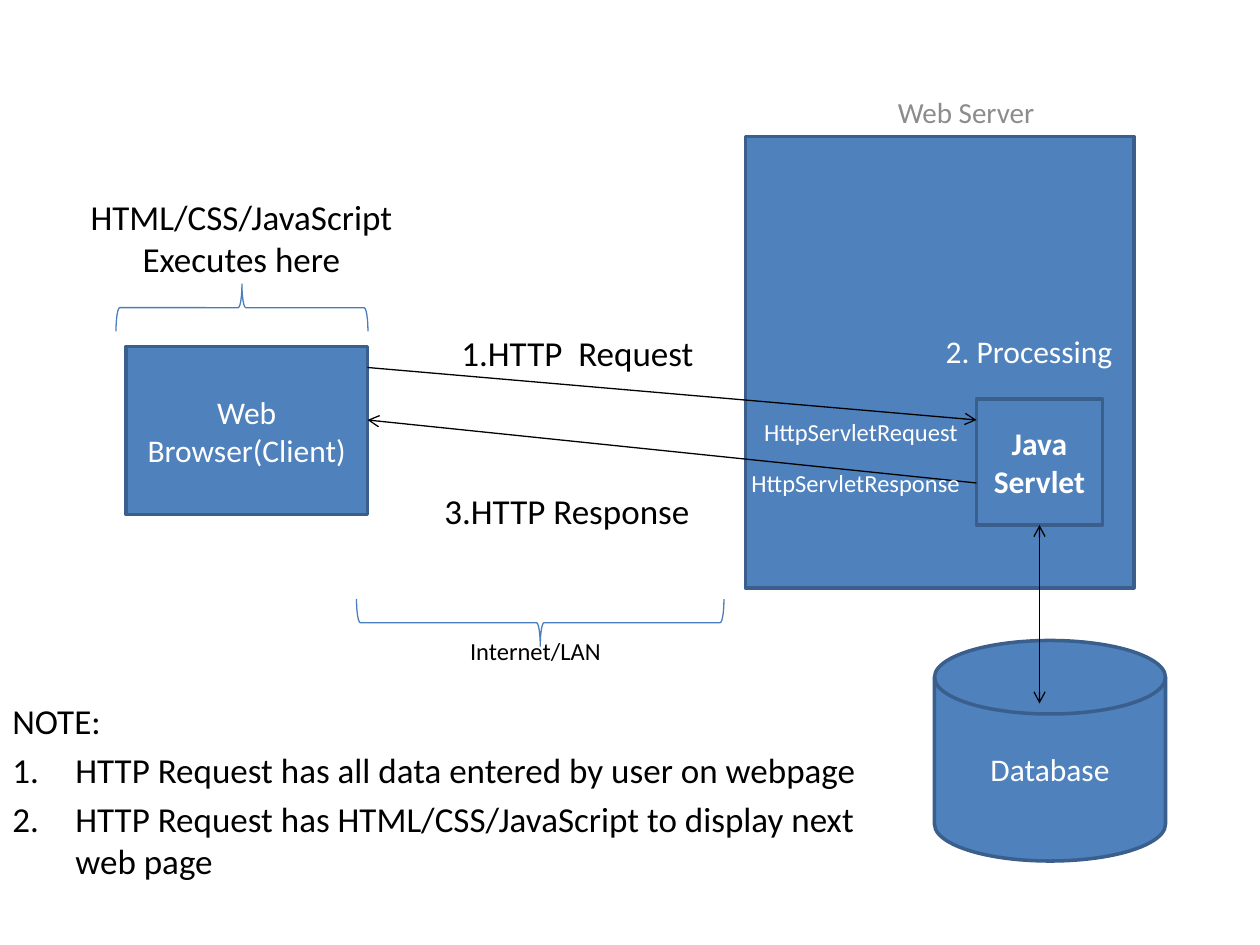
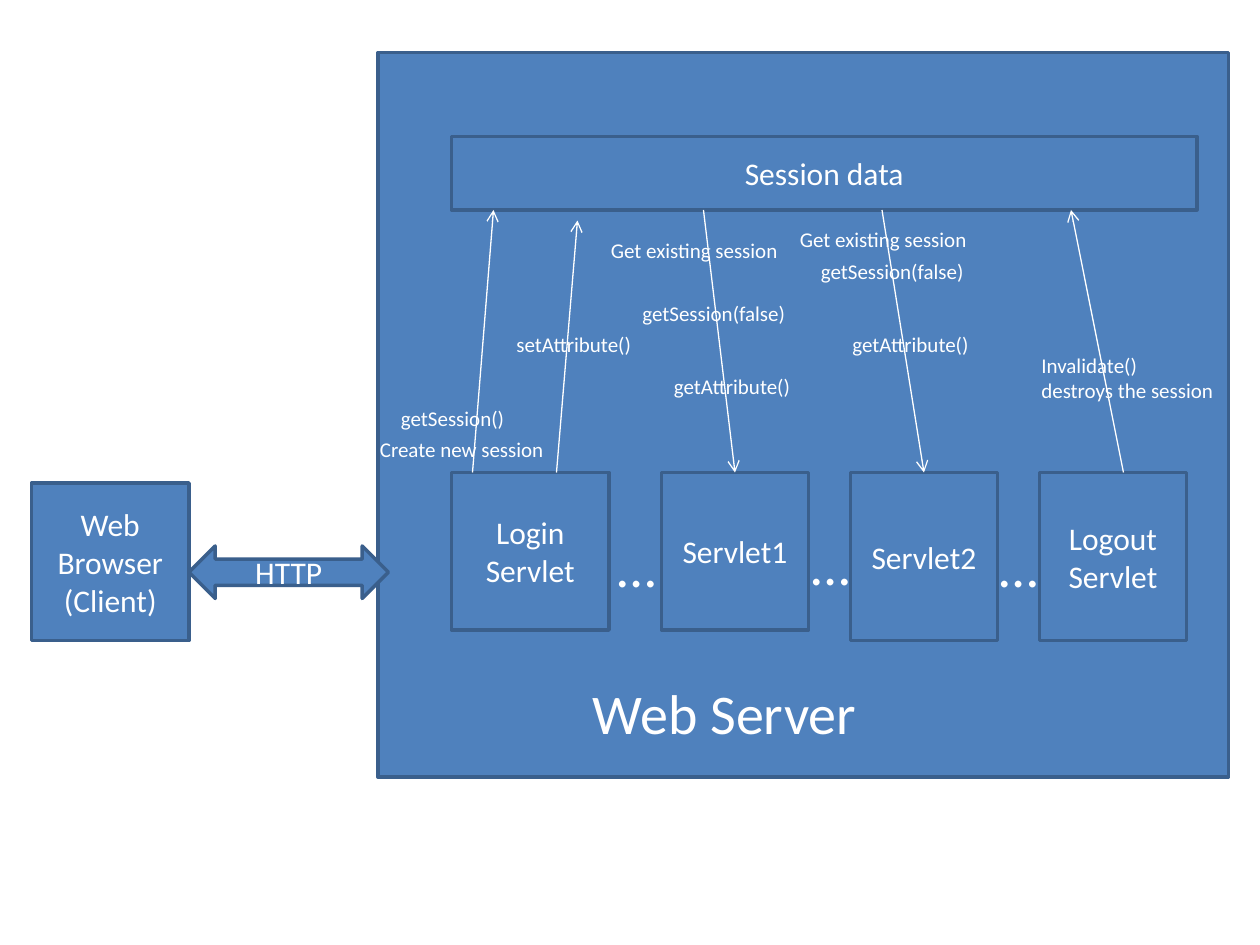
"""Build two diagrams of a Java servlet web application."""
from dataclasses import dataclass

from lxml.etree import SubElement
from pptx import Presentation
from pptx.dml.color import RGBColor
from pptx.enum.shapes import MSO_CONNECTOR, MSO_SHAPE
from pptx.enum.text import PP_ALIGN
from pptx.oxml.ns import qn
from pptx.util import Emu, Pt

EMU_PER_PX = 7620
FONT = "Calibri"
COLORS = {
    "fill": "4F81BD",
    "outline": "3A5F8C",
    "brace": "4B7EBC",
    "white": "FFFFFF",
    "black": "000000",
    "grey": "8C8C8C",
}
ALIGNMENTS = {"left": PP_ALIGN.LEFT, "center": PP_ALIGN.CENTER}
TOP, BOTTOM = 0, 2


@dataclass(frozen=True)
class Box:
    """A filled shape with centred text."""

    left: int
    top: int
    width: int
    height: int
    text: str = ""
    bold: bool = False
    kind: MSO_SHAPE = MSO_SHAPE.RECTANGLE


@dataclass(frozen=True)
class Label:
    """A text box without fill or line."""

    left: int
    top: int
    width: int
    height: int
    text: str
    size: float
    color: str = "white"
    align: str = "center"
    line_spacing: float = 1.0


@dataclass(frozen=True)
class Brace:
    """A right brace, given by its frame before rotation."""

    left: int
    top: int
    width: int
    height: int
    rotation: int


@dataclass(frozen=True)
class Arrow:
    """A straight arrow, joined to box sides where they are named."""

    start: tuple[int, int]
    end: tuple[int, int]
    color: str
    two_way: bool = False
    start_joint: tuple[str, int] | None = None
    end_joint: tuple[str, int] | None = None


def px(value: int) -> Emu:
    """Turn pixels into EMU."""
    return Emu(value * EMU_PER_PX)


def frame_of(item) -> list[Emu]:
    """Return the left, top, width and height of an item in EMU."""
    return [px(side) for side in (item.left, item.top, item.width, item.height)]


def rgb(name: str) -> RGBColor:
    """Look up a named colour."""
    return RGBColor.from_string(COLORS[name])


def write_text(text_frame, text: str, *, size: float, color: str = "white",
               bold: bool = False, align: str = "center",
               line_spacing: float = 1.0) -> None:
    """Fill a text frame, one paragraph for each line of text."""
    text_frame.word_wrap = True
    text_frame.text = text
    for para in text_frame.paragraphs:
        para.alignment = ALIGNMENTS[align]
        para.line_spacing = line_spacing
        for span in para.runs:
            span.font.name = FONT
            span.font.size = Pt(size)
            span.font.bold = bold
            span.font.color.rgb = rgb(color)


def number_paragraphs(paragraphs, indent: int, gap: float) -> None:
    """Number the paragraphs with a hanging indent and a gap above each."""
    for para in paragraphs:
        para.space_before = Pt(gap)
        properties = para._p.get_or_add_pPr()
        properties.set("marL", str(px(indent)))
        properties.set("indent", str(-px(indent)))
        SubElement(properties, qn("a:buAutoNum"), type="arabicPeriod")


def draw_box(page, box: Box):
    """Draw a filled shape and return it."""
    shape = page.shapes.add_shape(box.kind, *frame_of(box))
    shape.shadow.inherit = False
    shape.fill.solid()
    shape.fill.fore_color.rgb = rgb("fill")
    shape.line.color.rgb = rgb("outline")
    shape.line.width = Pt(2)
    if box.text:
        write_text(shape.text_frame, box.text, size=18, bold=box.bold)
    return shape


def draw_label(page, label: Label):
    """Draw a text box and return it."""
    shape = page.shapes.add_textbox(*frame_of(label))
    write_text(shape.text_frame, label.text, size=label.size, color=label.color,
               align=label.align, line_spacing=label.line_spacing)
    return shape


def draw_brace(page, brace: Brace) -> None:
    """Draw a rotated brace."""
    shape = page.shapes.add_shape(MSO_SHAPE.RIGHT_BRACE, *frame_of(brace))
    shape.rotation = brace.rotation
    shape.adjustments[0] = 0.08
    shape.adjustments[1] = 0.5
    shape.shadow.inherit = False
    shape.fill.background()
    shape.line.color.rgb = rgb("brace")
    shape.line.width = Pt(0.75)


def draw_arrow(page, arrow: Arrow, shapes: dict) -> None:
    """Draw an arrow and join its named ends."""
    points = [px(value) for value in (*arrow.start, *arrow.end)]
    line = page.shapes.add_connector(MSO_CONNECTOR.STRAIGHT, *points)
    line.line.color.rgb = rgb(arrow.color)
    line.line.width = Pt(0.75)
    outline = line.line._get_or_add_ln()
    for tag in ("a:headEnd", "a:tailEnd")[0 if arrow.two_way else 1:]:
        SubElement(outline, qn(tag), type="arrow")
    SubElement(line._element.spPr, qn("a:effectLst"))
    if arrow.start_joint:
        name, side = arrow.start_joint
        line.begin_connect(shapes[name], side)
    if arrow.end_joint:
        name, side = arrow.end_joint
        line.end_connect(shapes[name], side)


def draw_diagram(page, boxes: dict[str, Box], arrows: list[Arrow],
                 labels: list[Label]) -> None:
    """Draw boxes, then arrows, then labels."""
    shapes = {name: draw_box(page, box) for name, box in boxes.items()}
    for arrow in arrows:
        draw_arrow(page, arrow, shapes)
    for label in labels:
        draw_label(page, label)


def build_request_page(page) -> None:
    """Show a request and its response between browser and servlet."""
    boxes = {
        "browser": Box(120, 330, 230, 160, "Web Browser(Client)"),
        "server": Box(710, 130, 370, 430),
        "servlet": Box(930, 380, 120, 120, "Java Servlet", bold=True),
        "database": Box(890, 610, 220, 210, "Database",
                        kind=MSO_SHAPE.FLOWCHART_MAGNETIC_DISK),
    }
    arrows = [
        Arrow((350, 350), (930, 400), "black"),
        Arrow((930, 460), (350, 400), "black"),
        Arrow((990, 500), (990, 670), "black", two_way=True,
              start_joint=("servlet", BOTTOM)),
    ]
    labels = [
        Label(390, 310, 320, 50, "1.HTTP  Request", 20, "black"),
        Label(800, 90, 240, 40, "Web Server", 16.6, "grey", line_spacing=0.8),
        Label(360, 460, 360, 60, "3.HTTP Response", 20, "black"),
        Label(850, 310, 260, 60, "2. Processing", 18),
        Label(700, 391, 240, 40, "HttpServletRequest", 14),
        Label(670, 440, 290, 40, "HttpServletResponse", 14),
        Label(330, 600, 360, 50, "Internet/LAN", 14, "black"),
        Label(50, 180, 360, 100, "HTML/CSS/JavaScript Executes here", 20, "black"),
    ]
    draw_diagram(page, boxes, arrows, labels)
    draw_brace(page, Brace(492, 418, 45, 350, 90))
    draw_brace(page, Brace(208, 173, 45, 240, 270))
    note = draw_label(page, Label(
        0, 660, 830, 170,
        "NOTE:\n"
        "HTTP Request has all data entered by user on webpage\n"
        "HTTP Request has HTML/CSS/JavaScript to display next web page",
        20, "black", "left"))
    number_paragraphs(note.text_frame.paragraphs[1:], indent=60, gap=4)


def build_session_page(page) -> None:
    """Show how servlets share the session data."""
    row = 450
    boxes = {
        "server": Box(360, 50, 810, 690),
        "session": Box(430, 130, 710, 70, "Session data"),
        "login": Box(430, row, 150, 150, "Login Servlet"),
        "servlet1": Box(630, row, 140, 150, "Servlet1"),
        "servlet2": Box(810, row, 140, 160, "Servlet2"),
        "logout": Box(990, row, 140, 160, "Logout Servlet"),
        "browser": Box(30, 460, 150, 150, "Web Browser (Client)"),
        "http": Box(180, 520, 190, 50, "HTTP", kind=MSO_SHAPE.LEFT_RIGHT_ARROW),
    }
    arrows = [
        Arrow((450, row), (470, 200), "white"),
        Arrow((530, row), (550, 210), "white"),
        Arrow((670, 200), (700, row), "white", end_joint=("servlet1", TOP)),
        Arrow((840, 200), (880, row), "white", end_joint=("servlet2", TOP)),
        Arrow((1070, row), (1020, 200), "white"),
    ]
    calls = [
        (370, 380, 150, "getSession()"),
        (350, 410, 220, "Create new session"),
        (480, 310, 150, "setAttribute()"),
        (570, 220, 220, "Get existing session"),
        (600, 280, 180, "getSession(false)"),
        (630, 350, 150, "getAttribute()"),
        (750, 210, 220, "Get existing session"),
        (770, 240, 180, "getSession(false)"),
        (800, 310, 150, "getAttribute()"),
        (980, 330, 190, "Invalidate()\vdestroys the session"),
    ]
    labels = [Label(430, 640, 520, 90, "Web Server", 32)]
    labels += [Label(left, top, width, 36, text, 12, align="left")
               for left, top, width, text in calls]
    labels += [Label(left, top, 60, 77, "…", 32, align="left")
               for left, top in ((576, 500), (761, 498), (940, 500))]
    draw_diagram(page, boxes, arrows, labels)


def main() -> None:
    """Build the deck and save it."""
    deck = Presentation()
    deck.slide_width, deck.slide_height = px(1200), px(900)
    blank = deck.slide_layouts[6]
    for build in (build_request_page, build_session_page):
        build(deck.slides.add_slide(blank))
    deck.save("out.pptx")


if __name__ == "__main__":
    main()
